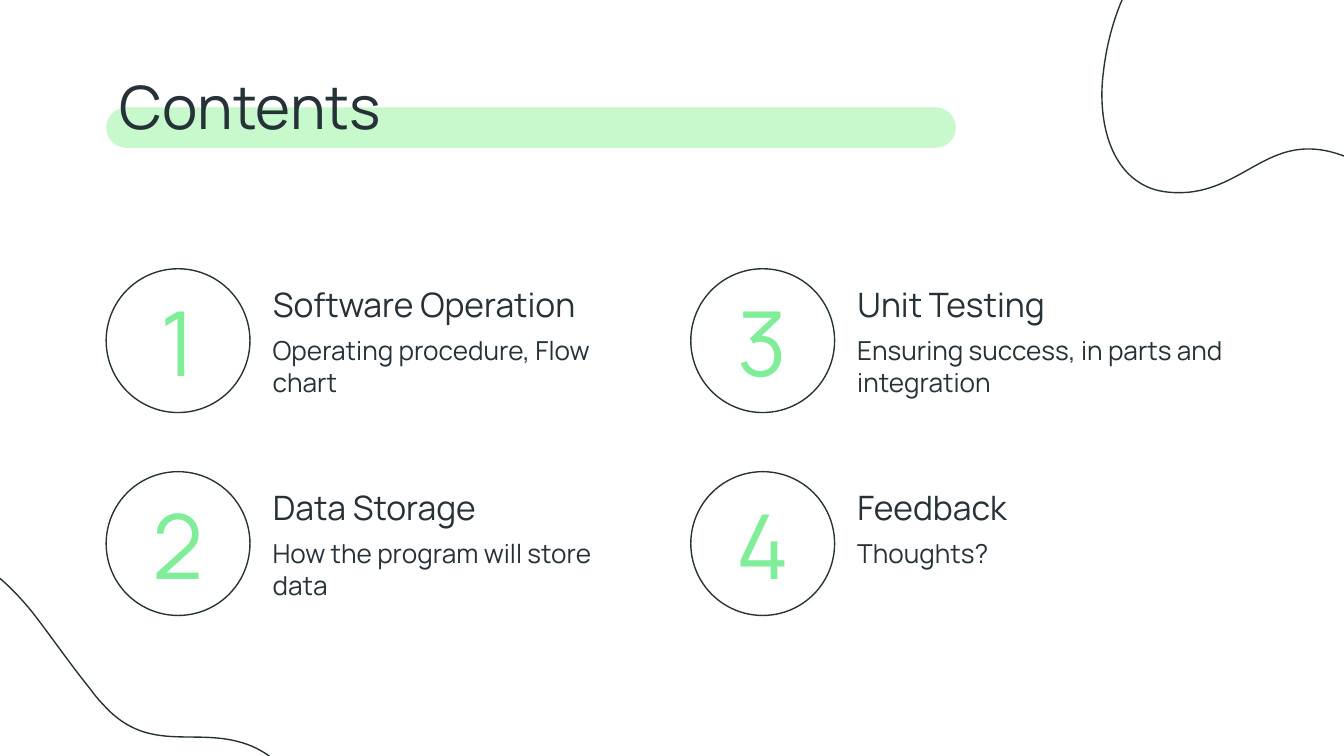
"""Build a contents slide with four numbered topics."""
import lxml.etree
import pptx
import pptx.dml.color
import pptx.enum.shapes
import pptx.enum.text
import pptx.oxml.ns
import pptx.util

WIDE = 10
HIGH = WIDE * 9 / 16
INK, MINT, PALE = "263238", "80ED99", "C7F9CC"
LEFT, TOP = 0.79, 2
COL, ROW = 4.35, 1.51
KIND = pptx.enum.shapes.MSO_SHAPE
ALIGN = pptx.enum.text.PP_ALIGN
ANCHOR = pptx.enum.text.MSO_ANCHOR
qn = pptx.oxml.ns.qn
inch = pptx.util.Inches

TOPICS = [
    ("Software Operation", "Operating procedure, Flow chart"),
    ("Data Storage", "How the program will store data"),
    ("Unit Testing", "Ensuring success, in parts and integration"),
    ("Feedback", "Thoughts?"),
]
CREST = [
    (0.56, 1.4), (0.64, 1.43), (0.74, 1.44), (0.85, 1.43),
    (1.29, 1.38), (1.47, 0.98), (1.97, 1.15),
    (2.02, 1.17), (2.07, 1.18), (2.12, 1.2),
    (2.35, 1.29), (2.56, 1.4), (2.77, 1.48),
    (3.03, 1.58), (3.29, 1.64), (3.62, 1.59),
    (4.19, 1.52), (4.43, 1.18), (4.5, 0.71),
    (4.64, -0.11), (4.12, -0.71), (3.37, -1),
    (3.05, -1.12), (2.69, -1.18), (2.32, -1.18),
    (1.14, -1.18), (0.32, -0.46), (0.21, 0.54),
    (0.17, 0.84), (0.23, 1.27), (0.56, 1.4),
]
SWELL = [
    (2.12, 1.73), (2.06, 1.66), (1.99, 1.6), (1.88, 1.55),
    (1.48, 1.38), (1.12, 1.63), (0.77, 1.24),
    (0.73, 1.2), (0.7, 1.16), (0.67, 1.12),
    (0.51, 0.92), (0.38, 0.73), (0.24, 0.55),
    (0.07, 0.34), (-0.13, 0.16), (-0.44, 0.03),
    (-0.97, -0.19), (-1.34, -0.01), (-1.65, 0.36),
    (-2.17, 1), (-2.02, 1.78), (-1.52, 2.4),
    (-1.3, 2.67), (-1.02, 2.9), (-0.7, 3.09),
    (0.32, 3.67), (1.39, 3.46), (1.99, 2.65),
    (2.17, 2.41), (2.34, 2), (2.12, 1.73),
]


def tint(code):
    """Turn a hex string into a colour."""
    return pptx.dml.color.RGBColor.from_string(code)


def place(shape, left, top, width, height):
    """Move a shape to a box given in inches."""
    shape.left, shape.top = inch(left), inch(top)
    shape.width, shape.height = inch(width), inch(height)


def write(shape, text, size, color=INK, align=ALIGN.LEFT, anchor=ANCHOR.TOP):
    """Fill a text shape with one plain, unbulleted paragraph."""
    frame = shape.text_frame
    frame.text = text
    frame.word_wrap = True
    frame.auto_size = pptx.enum.text.MSO_AUTO_SIZE.NONE
    frame.vertical_anchor = anchor
    frame.margin_left = frame.margin_right = inch(0.1)
    frame.margin_top = frame.margin_bottom = inch(0.1)
    line = frame.paragraphs[0]
    line.alignment = align
    line.space_before = pptx.util.Pt(0)
    props = line._p.get_or_add_pPr()
    props.set("marL", "0")
    props.set("indent", "0")
    lxml.etree.SubElement(props, qn("a:buNone"))
    font = line.runs[0].font
    font.name, font.size, font.bold = "Manrope", pptx.util.Pt(size), False
    font.color.rgb = tint(color)


def trace(shape):
    """Give a shape a thin dark outline without fill."""
    shape.shadow.inherit = False
    shape.fill.background()
    shape.line.color.rgb = tint(INK)
    shape.line.width = pptx.util.Pt(0.75)


def wave(slide, left, top, points):
    """Draw a closed curve from Bezier points relative to a corner."""
    spots = [(inch(left + x), inch(top + y)) for x, y in points]
    pen = slide.shapes.build_freeform(*spots[0])
    pen.add_line_segments(spots[1:], close=True)
    shape = pen.convert_to_shape()
    steps = list(shape._element.iter(qn("a:lnTo")))
    for start in range(0, len(steps), 3):
        curve = lxml.etree.Element(qn("a:cubicBezTo"))
        steps[start].addprevious(curve)
        for step in steps[start:start + 3]:
            curve.append(step[0])
            step.getparent().remove(step)
    trace(shape)


def header(slide, left, top, width, height):
    """Set the title over a pale rounded bar."""
    title = slide.shapes.title
    place(title, left, top, width, height)
    write(title, "Contents", 32)
    bar = slide.shapes.add_shape(
        KIND.ROUNDED_RECTANGLE, inch(left), inch(top + 0.38),
        inch(0.75 * width), inch(0.3))
    bar.adjustments[0] = 0.5
    bar.shadow.inherit = False
    bar.fill.solid()
    bar.fill.fore_color.rgb = tint(PALE)
    bar.line.fill.background()
    title._element.addprevious(bar._element)


def topic(slide, head, number, name, note, left, top, size):
    """Place a ringed number with its heading and note."""
    ring = slide.shapes.add_shape(
        KIND.OVAL, inch(left), inch(top), inch(size), inch(size))
    trace(ring)
    digit = slide.shapes.add_textbox(0, 0, 0, 0)
    place(digit, left + 0.05, top + 0.15, size - 0.1, size - 0.3)
    write(digit, str(number), 48, MINT, ALIGN.CENTER, ANCHOR.MIDDLE)
    side = left + size + 0.07
    place(head, side, top + 0.01, 2.93, 0.41)
    write(head, name, 18)
    body = slide.shapes.add_textbox(0, 0, 0, 0)
    place(body, side, top + 0.39, 2.93, 0.67)
    write(body, note, 14)


def main():
    """Build and save the slide."""
    deck = pptx.Presentation()
    deck.slide_width, deck.slide_height = inch(WIDE), inch(HIGH)
    slide = deck.slides.add_slide(deck.slide_layouts[4])
    heads = list(slide.placeholders)[1:]
    header(slide, LEFT, 0.42, 8.43, 0.67)
    wave(slide, WIDE - 2, 0, CREST)
    wave(slide, 0, HIGH - 1.62, SWELL)
    for spot, (head, (name, note)) in enumerate(zip(heads, TOPICS)):
        col, row = divmod(spot, 2)
        topic(slide, head, spot + 1, name, note,
              LEFT + col * COL, TOP + row * ROW, 1.07)
    deck.save("out.pptx")


if __name__ == "__main__":
    main()
